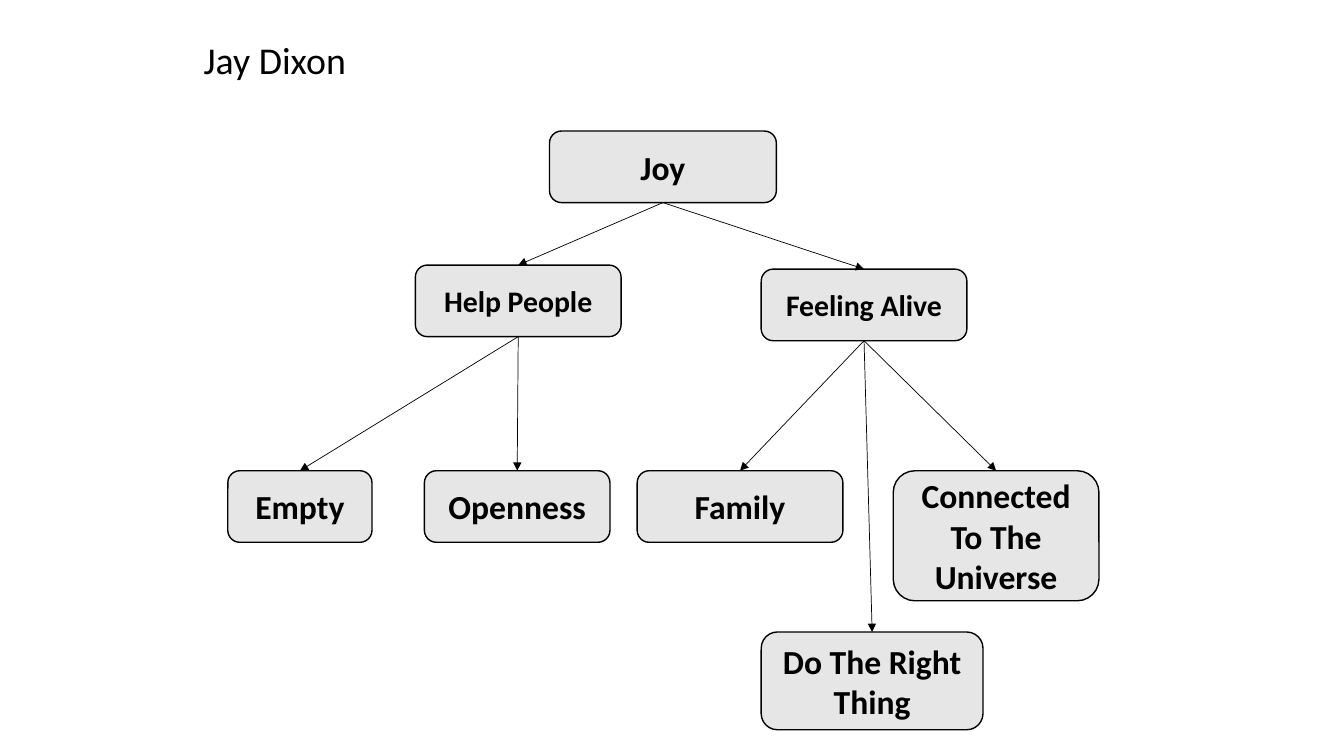
from lxml import etree
from pptx import Presentation
from pptx.dml.color import RGBColor
from pptx.enum import shapes, text
from pptx.oxml import ns
from pptx.util import Inches, Pt

BLACK = RGBColor(0x00, 0x00, 0x00)
BOX_GRAY = RGBColor(0xE7, 0xE6, 0xE6)
FONT = "Calibri"
BOX_HEIGHT = 0.71
LEAF_TOP = 4.67
TOP_SITE, BOTTOM_SITE = 0, 2


def set_font(paragraph, size, bold=False):
    """Format a whole paragraph."""
    font = paragraph.font
    font.name, font.size, font.bold = FONT, Pt(size), bold
    font.color.rgb = BLACK


def place_title(slide, wording):
    """Move and format the title placeholder."""
    title = slide.shapes.title
    title.left, title.top = Inches(1.92), Inches(0.32)
    title.width, title.height = Inches(7.86), Inches(0.53)
    frame = title.text_frame
    frame.text = wording
    frame.vertical_anchor = text.MSO_ANCHOR.MIDDLE
    frame.auto_size = text.MSO_AUTO_SIZE.NONE
    frame.paragraphs[0].alignment = text.PP_ALIGN.LEFT
    set_font(frame.paragraphs[0], 27)


def add_value(slide, wording, left, top, width, height=BOX_HEIGHT, size=24):
    """Add one rounded box of the value tree."""
    box = slide.shapes.add_shape(
        shapes.MSO_SHAPE.ROUNDED_RECTANGLE,
        Inches(left), Inches(top), Inches(width), Inches(height))
    box.shadow.inherit = False
    box.fill.solid()
    box.fill.fore_color.rgb = BOX_GRAY
    box.line.color.rgb = BLACK
    box.line.width = Pt(1)
    frame = box.text_frame
    frame.word_wrap = True
    frame.vertical_anchor = text.MSO_ANCHOR.MIDDLE
    frame.text = wording
    for paragraph in frame.paragraphs:
        paragraph.alignment = text.PP_ALIGN.CENTER
        set_font(paragraph, size, bold=True)
    return box


def link(slide, parent, child):
    """Draw an arrow from the bottom of a parent to the top of a child."""
    arrow = slide.shapes.add_connector(shapes.MSO_CONNECTOR.STRAIGHT, 0, 0, 0, 0)
    arrow.begin_connect(parent, BOTTOM_SITE)
    arrow.end_connect(child, TOP_SITE)
    arrow.line.color.rgb = BLACK
    arrow.line.width = Pt(0.5)
    etree.SubElement(arrow.line._get_or_add_ln(), ns.qn("a:tailEnd"), type="triangle")
    etree.SubElement(arrow._element.spPr, ns.qn("a:effectLst"))


def main():
    """Build the value tree slide."""
    deck = Presentation()
    deck.slide_width, deck.slide_height = Inches(13.33), Inches(7.5)
    slide = deck.slides.add_slide(deck.slide_layouts.get_by_name("Title Only"))
    place_title(slide, "Jay Dixon")

    joy = add_value(slide, "Joy", 5.45, 1.3, 2.25)
    help_people = add_value(slide, "Help People", 4.12, 2.63, 2.04, size=21.3)
    feeling_alive = add_value(slide, "Feeling Alive", 7.55, 2.67, 2.04, size=21.3)
    empty = add_value(slide, "Empty", 2.26, LEAF_TOP, 1.43)
    openness = add_value(slide, "Openness", 4.21, LEAF_TOP, 1.84)
    family = add_value(slide, "Family", 6.32, LEAF_TOP, 2.04)
    connected = add_value(slide, "Connected\nTo The\nUniverse", 8.86, LEAF_TOP, 2.04, 1.29)
    right_thing = add_value(slide, "Do The Right Thing", 7.55, 6.27, 2.2, 0.97)

    branches = [
        (joy, [help_people, feeling_alive]),
        (help_people, [empty, openness]),
        (feeling_alive, [family, right_thing, connected]),
    ]
    for parent, children in branches:
        for child in children:
            link(slide, parent, child)

    deck.save("out.pptx")


if __name__ == "__main__":
    main()
